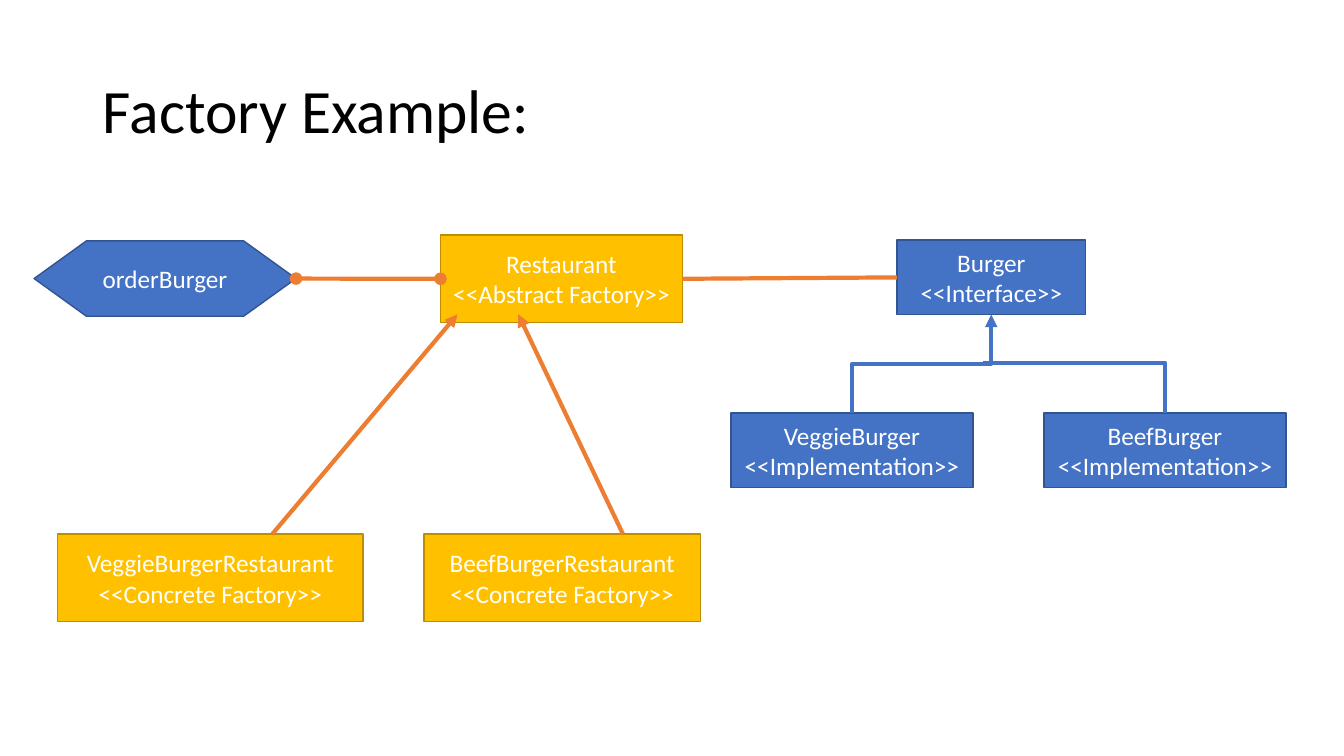
from pptx import Presentation
from pptx.dml.color import RGBColor
from pptx.enum import shapes, text
from pptx.oxml.ns import qn
from pptx.util import Cm, Pt
from lxml import etree

BLUE, BLUE_EDGE = "4472C4", "325491"
GOLD, GOLD_EDGE = "FFC000", "BD8E00"
ORANGE, WHITE, BLACK = "ED7D31", "FFFFFF", "000000"
TOP, LEFT, BOTTOM, RIGHT = range(4)


def colour(value):
    return RGBColor.from_string(value)


def write(box, lines, size=18, ink=WHITE, align=text.PP_ALIGN.CENTER, spacing=None):
    """Fill a shape with one paragraph per line."""
    frame = box.text_frame
    frame.word_wrap = True
    frame.auto_size = text.MSO_AUTO_SIZE.NONE
    frame.vertical_anchor = text.MSO_ANCHOR.MIDDLE
    for index, line in enumerate(lines):
        para = frame.add_paragraph() if index else frame.paragraphs[0]
        para.alignment = align
        para.line_spacing = spacing
        span = para.add_run()
        span.text = line
        span.font.name = "Calibri"
        span.font.size = Pt(size)
        span.font.color.rgb = colour(ink)


class ClassDiagram:
    def __init__(self, deck):
        self.page = deck.slides.add_slide(deck.slide_layouts[5])

    def title(self, words, left, top, width, height):
        box = self.page.shapes.title
        box.left, box.top, box.width, box.height = map(Cm, (left, top, width, height))
        write(box, [words], size=44, ink=BLACK, align=text.PP_ALIGN.LEFT, spacing=0.9)

    def node(self, lines, left, top, width, height, fill=BLUE, edge=BLUE_EDGE,
             kind=shapes.MSO_SHAPE.RECTANGLE):
        box = self.page.shapes.add_shape(kind, *map(Cm, (left, top, width, height)))
        box.shadow.inherit = False
        box.fill.solid()
        box.fill.fore_color.rgb = colour(fill)
        box.line.color.rgb = colour(edge)
        box.line.width = Pt(1)
        write(box, lines)
        return box

    def factory(self, lines, left, top, width):
        return self.node(lines, left, top, width, 2.21, GOLD, GOLD_EDGE)

    def style_line(self, line, ink, head=None, tail=None):
        line.line.color.rgb = colour(ink)
        line.line.width = Pt(3)
        properties = line._element.spPr
        outline = properties.find(qn("a:ln"))
        for tag, end in (("a:headEnd", head), ("a:tailEnd", tail)):
            if end:
                etree.SubElement(outline, qn(tag), type=end)
        etree.SubElement(properties, qn("a:effectLst"))

    def straight(self, start, end, **ends):
        line = self.page.shapes.add_connector(
            shapes.MSO_CONNECTOR.STRAIGHT, *map(Cm, (*start, *end)))
        self.style_line(line, ORANGE, **ends)

    def join(self, first, first_side, second, second_side, **ends):
        line = self.page.shapes.add_connector(shapes.MSO_CONNECTOR.STRAIGHT, 0, 0, 0, 0)
        line.begin_connect(first, first_side)
        line.end_connect(second, second_side)
        self.style_line(line, ORANGE, **ends)

    def elbow(self, start, end, turn, preset, **ends):
        """Draw a bent line that leaves vertically; turn is 1 for 90 degrees, -1 for 270."""
        (x1, y1), (x2, y2) = start, end
        middle_x, middle_y = (x1 + x2) / 2, (y1 + y2) / 2
        across, down = turn * (y1 - y2) / 2, turn * (x2 - x1) / 2
        line = self.page.shapes.add_connector(
            shapes.MSO_CONNECTOR.ELBOW, Cm(middle_x + across), Cm(middle_y + down),
            Cm(middle_x - across), Cm(middle_y - down))
        properties = line._element.spPr
        properties.find(qn("a:xfrm")).set("rot", str(turn * 90 % 360 * 60000))
        properties.find(qn("a:prstGeom")).set("prst", preset)
        self.style_line(line, BLUE, **ends)


def main():
    deck = Presentation()
    deck.slide_width, deck.slide_height = Cm(33.87), Cm(19.05)
    diagram = ClassDiagram(deck)
    diagram.title("Factory Example:", 2.34, 1.02, 29.21, 3.68)

    burger = diagram.node(["Burger", "<<Interface>>"], 22.61, 6.05, 4.75, 1.88)
    for name, left in (("BeefBurger", 26.31), ("VeggieBurger", 18.42)):
        diagram.node([name, "<<Implementation>>"], left, 10.41, 6.1, 1.88)
    diagram.elbow((21.47, 10.41), (24.98, 7.93), 1, "bentConnector3", tail="triangle")
    diagram.elbow((29.36, 10.41), (24.77, 9.14), -1, "bentConnector2")

    restaurant = diagram.factory(["Restaurant", "<<Abstract Factory>>"], 11.1, 5.92, 6.1)
    diagram.join(burger, LEFT, restaurant, RIGHT)
    order = diagram.node(["orderBurger"], 0.86, 6.07, 6.6, 1.9,
                         kind=shapes.MSO_SHAPE.FLOWCHART_PREPARATION)
    diagram.join(restaurant, LEFT, order, RIGHT, head="oval", tail="oval")

    for name, left, width, start_x, end_x in (
            ("VeggieBurgerRestaurant", 1.45, 7.7, 6.86, 11.53),
            ("BeefBurgerRestaurant", 10.69, 6.96, 15.7, 13.06)):
        diagram.factory([name, "<<Concrete Factory>>"], left, 13.46, width)
        diagram.straight((start_x, 13.46), (end_x, 7.92), tail="triangle")

    deck.save("out.pptx")


if __name__ == "__main__":
    main()
